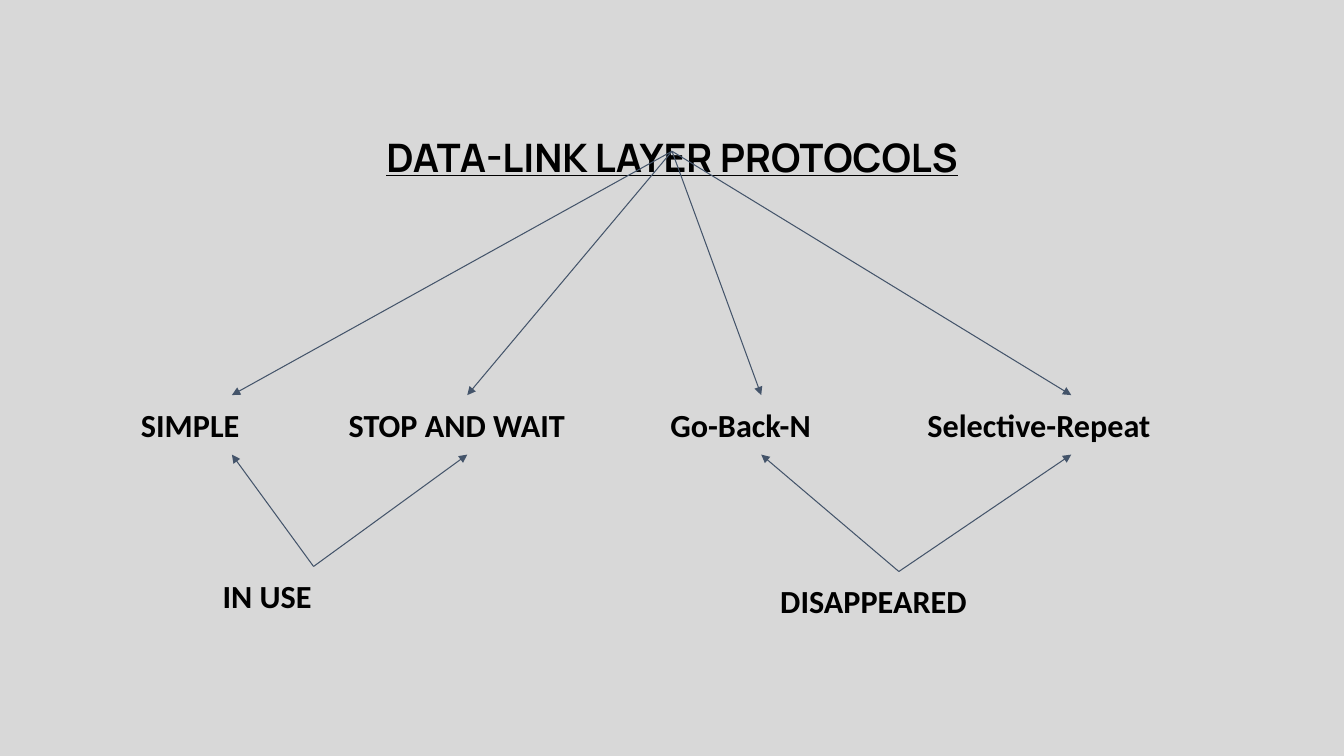
from dataclasses import dataclass

from lxml import etree
from pptx import Presentation
from pptx.dml.color import RGBColor
from pptx.enum import shapes, text
from pptx.oxml import ns
from pptx.util import Inches, Pt


@dataclass(frozen=True)
class Theme:
    background: RGBColor = RGBColor(0xD8, 0xD8, 0xD8)
    ink: RGBColor = RGBColor(0, 0, 0)
    arrow: RGBColor = RGBColor(0x44, 0x54, 0x6A)
    title_font: str = "Manrope"
    label_font: str = "Calibri"
    title_size: float = 28
    label_size: float = 23
    arrow_width: float = 0.75


THEME = Theme()
SLIDE_WIDTH, SLIDE_HEIGHT = 13.33, 7.5
TOP, BOTTOM = 0, 2
LABEL_HEIGHT = 0.59
PROTOCOL_TOP = 3.92
PROTOCOLS = [
    ("SIMPLE", 1.3, 2),
    ("STOP AND WAIT", 3.36, 2.55),
    ("Go-Back-N", 6.55, 2),
    ("Selective-Repeat", 9.1, 3.05),
]
STATUSES = [
    ("IN USE", (2.11, 5.62, 2, LABEL_HEIGHT), ("SIMPLE", "STOP AND WAIT")),
    ("DISAPPEARED", (7.64, 5.67, 2.55, LABEL_HEIGHT), ("Selective-Repeat", "Go-Back-N")),
]


def add_words(slide, box, words, font, size, inset_y):
    words_box = slide.shapes.add_textbox(*map(Inches, box))
    frame = words_box.text_frame
    frame.word_wrap = True
    frame.vertical_anchor = text.MSO_ANCHOR.TOP
    frame.margin_left = frame.margin_right = Inches(0.1)
    frame.margin_top = frame.margin_bottom = Inches(inset_y)
    frame.text = words
    run_font = frame.paragraphs[0].runs[0].font
    run_font.name = font
    run_font.size = Pt(size)
    run_font.bold = True
    run_font.color.rgb = THEME.ink
    return words_box


def add_title(slide, box):
    title = add_words(slide, box, "DATA-LINK LAYER PROTOCOLS",
                      THEME.title_font, THEME.title_size, 0.05)
    heading = title.text_frame.paragraphs[0]
    heading.alignment = text.PP_ALIGN.CENTER
    heading.line_spacing = 1.5
    heading.runs[0].font.underline = True
    return title


def add_label(slide, box, words):
    label = add_words(slide, box, words, THEME.label_font, THEME.label_size, 0.1)
    label.text_frame.auto_size = text.MSO_AUTO_SIZE.SHAPE_TO_FIT_TEXT
    return label


def add_arrow(slide, source, source_side, target, target_side):
    arrow = slide.shapes.add_connector(shapes.MSO_CONNECTOR.STRAIGHT, 0, 0, 0, 0)
    arrow.begin_connect(source, source_side)
    arrow.end_connect(target, target_side)
    arrow.line.color.rgb = THEME.arrow
    arrow.line.width = Pt(THEME.arrow_width)
    properties = arrow.element.spPr
    line = properties.find(ns.qn("a:ln"))
    etree.SubElement(line, ns.qn("a:tailEnd"), type="triangle")
    etree.SubElement(properties, ns.qn("a:effectLst"))


def add_protocols(slide, top, title):
    protocols = {}
    for name, left, width in PROTOCOLS:
        protocols[name] = add_label(slide, (left, top, width, LABEL_HEIGHT), name)
    for protocol in protocols.values():
        add_arrow(slide, title, BOTTOM, protocol, TOP)
    return protocols


def add_status(slide, box, name, members):
    status = add_label(slide, box, name)
    for protocol in members:
        add_arrow(slide, status, TOP, protocol, BOTTOM)


def main():
    deck = Presentation()
    deck.slide_width = Inches(SLIDE_WIDTH)
    deck.slide_height = Inches(SLIDE_HEIGHT)
    slide = deck.slides.add_slide(deck.slide_layouts[6])
    slide.background.fill.solid()
    slide.background.fill.fore_color.rgb = THEME.background

    title = add_title(slide, (0, 1.04, SLIDE_WIDTH, 0.46))
    protocols = add_protocols(slide, PROTOCOL_TOP, title)
    for name, box, members in STATUSES:
        add_status(slide, box, name, [protocols[member] for member in members])
    deck.save("out.pptx")


if __name__ == "__main__":
    main()
